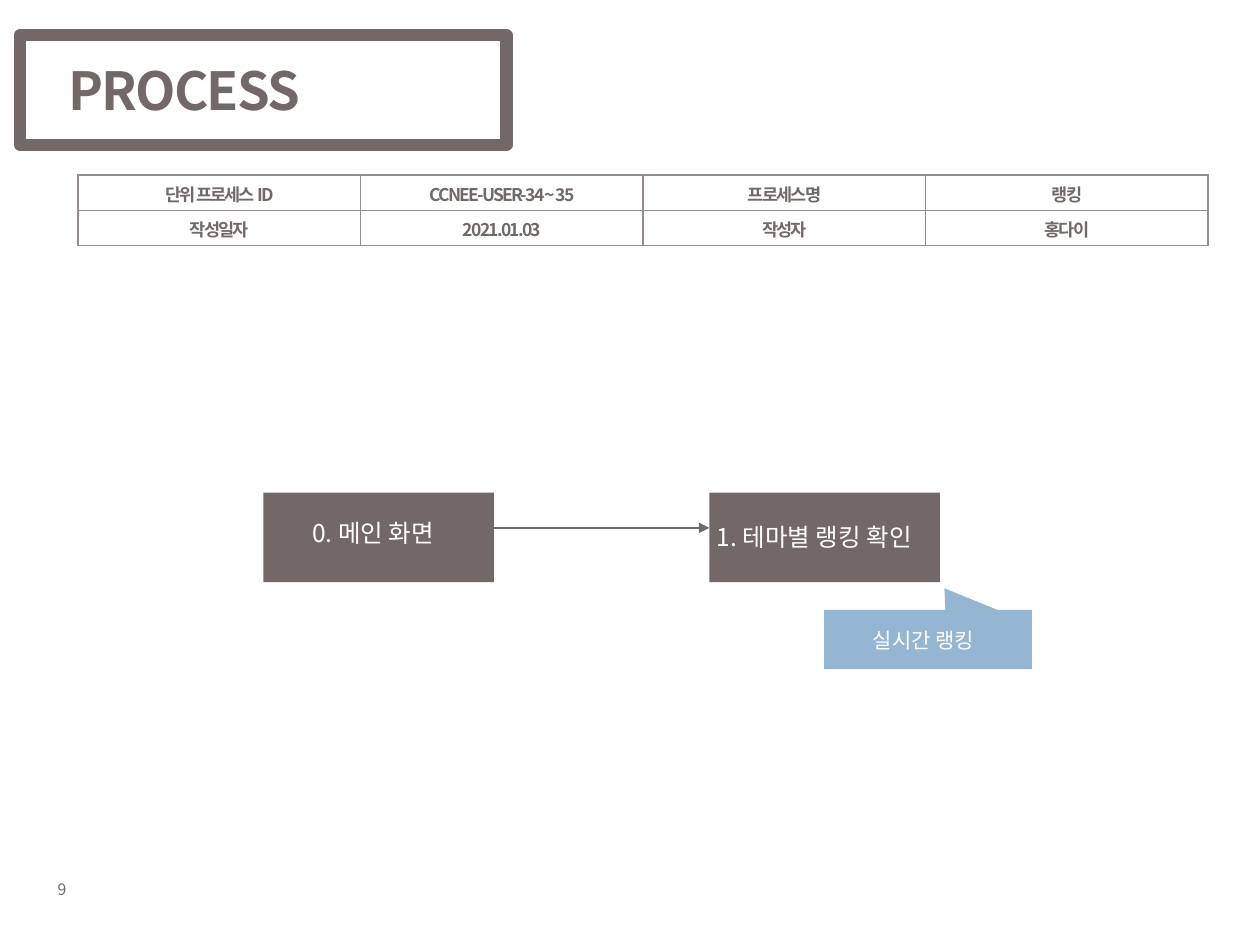
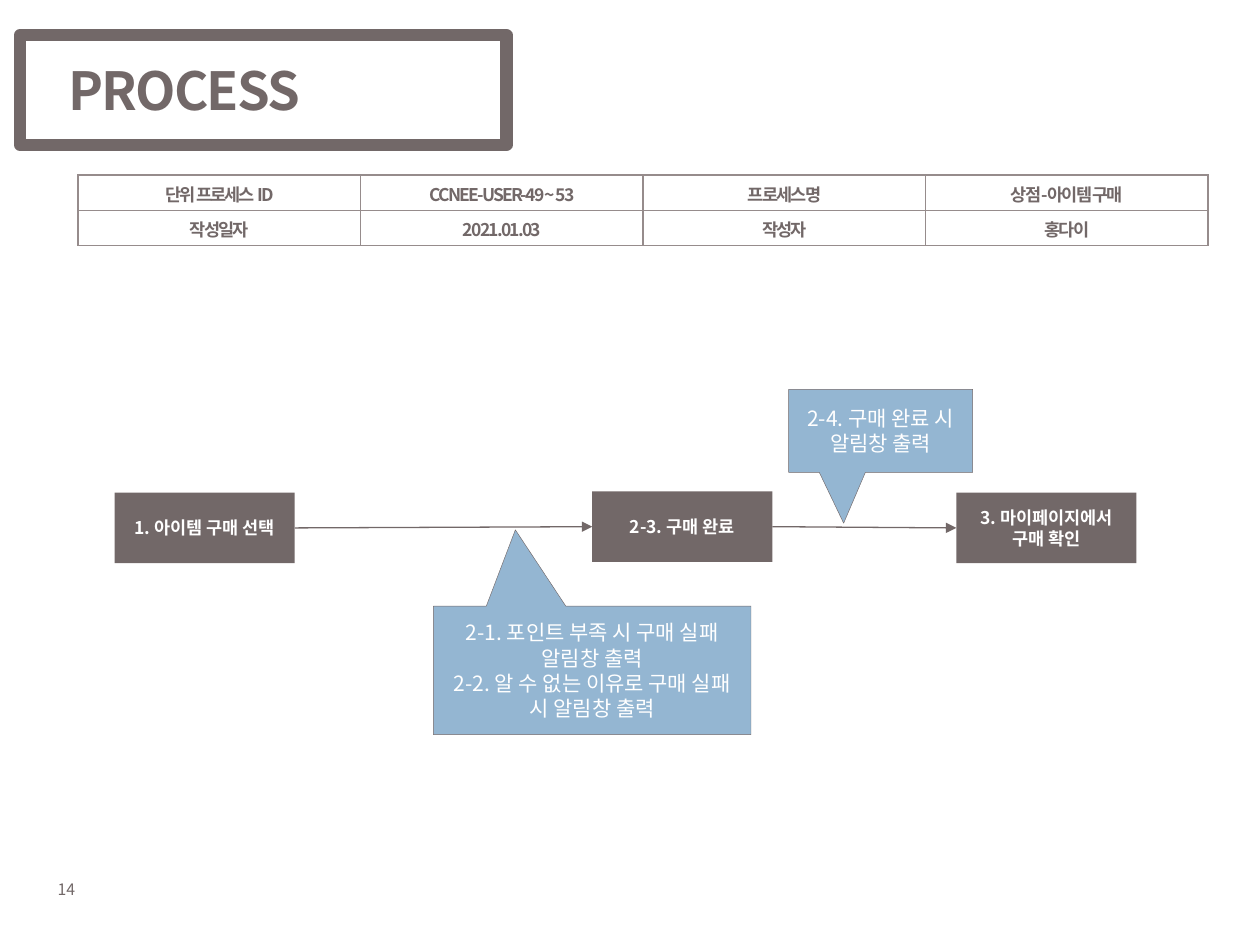
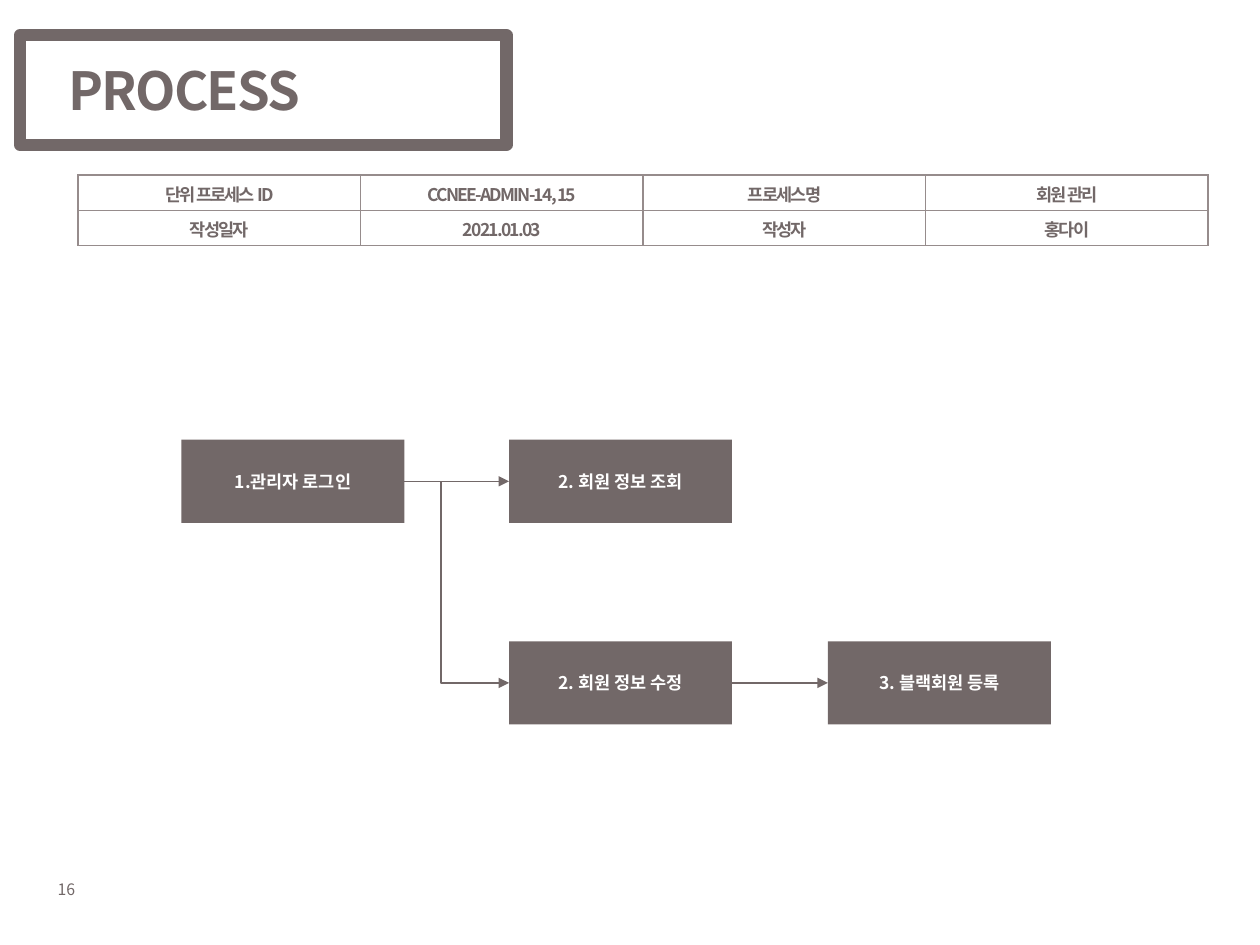
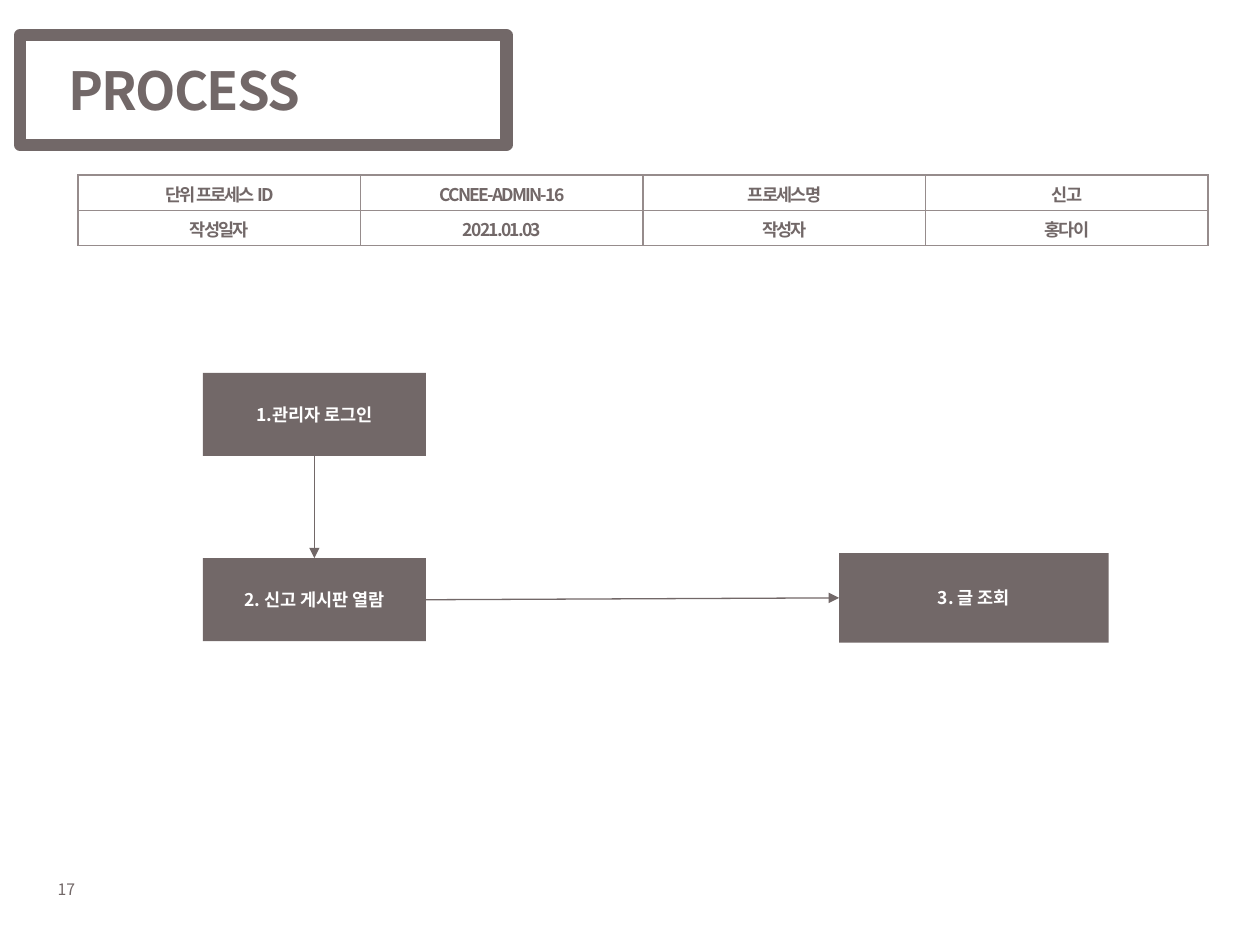
"""Build the four PROCESS slides, each with an ID table and a flow chart."""
from lxml.etree import SubElement
from pptx import Presentation
from pptx.dml.color import RGBColor
from pptx.enum.shapes import MSO_CONNECTOR as LINK, MSO_SHAPE as FORM
from pptx.enum.text import MSO_ANCHOR as ANCHOR, MSO_AUTO_SIZE as AUTO, PP_ALIGN as ALIGN
from pptx.oxml import parse_xml
from pptx.oxml.ns import nsdecls, qn
from pptx.util import Inches, Pt

FONT = "Noto Sans CJK KR"
BROWN, BLUE, WHITE, GRID = "726868", "94B6D2", "FFFFFF", "968C8C"
TOP, LEFT, DOWN, RIGHT = range(4)
WIDE, SMALL = (1.77, 0.66), (1.43, 0.56)

SLIDES = [
    dict(
        page="9", code="CCNEE-USER-34 ~ 35", name="랭킹",
        boxes=[("", 5.63, 3.91, 1.83, 0.71), ("", 2.09, 3.91, 1.83, 0.71)],
        lines=[((3.92, 4.19), (5.63, 4.19))],
        notes=[([], (6.54, 4.84, 1.65, 0.47), (0.079, -0.864), 0)],
        labels=[("1. 테마별 랭킹 확인", (5.59, 4.09, 2.24, 0.34), 14),
                ("0. 메인 화면", (2.38, 4.06, 1.76, 0.34), 14),
                ("실시간 랭킹", (6.83, 4.93, 1.47, 0.3), 12)],
    ),
    dict(
        page="14", code="CCNEE-USER-49 ~ 53", name="상점-아이템 구매",
        boxes=[("1. 아이템 구매 선택", 0.91, 3.91, *SMALL),
               ("2-3. 구매 완료", 4.7, 3.9, *SMALL),
               ("3. 마이페이지에서 구매 확인", 7.59, 3.91, *SMALL)],
        links=[(0, RIGHT, 1, LEFT), (1, RIGHT, 2, LEFT)],
        notes=[(["2-1. 포인트 부족 시 구매 실패 알림창 출력",
                 "2-2. 알 수 없는 이유로 구매 실패 시 알림창 출력"],
                (3.44, 4.81, 2.52, 1.02), (-0.242, -1.093), 0.25),
               (["2-4. 구매 완료 시 알림창 출력"],
                (6.26, 3.09, 1.46, 0.66), (-0.201, 1.11), 0.25)],
    ),
    dict(
        page="16", code="CCNEE-ADMIN-14, 15", name="회원 관리",
        boxes=[("1.관리자 로그인", 1.44, 3.49, *WIDE),
               ("2. 회원 정보 조회", 4.04, 3.49, *WIDE),
               ("2. 회원 정보 수정", 4.04, 5.09, *WIDE),
               ("3. 블랙회원 등록", 6.57, 5.09, *WIDE)],
        links=[(0, RIGHT, 1, LEFT), (2, RIGHT, 3, LEFT)],
        bends=[((3.5, 3.82), (4.04, 5.42))],
    ),
    dict(
        page="17", code="CCNEE-ADMIN-16", name="신고",
        boxes=[("2. 신고 게시판 열람", 1.61, 4.43, *WIDE),
               ("3. 글 조회", 6.66, 4.39, 2.14, 0.71),
               ("1.관리자 로그인", 1.61, 2.96, *WIDE)],
        links=[(0, RIGHT, 1, LEFT), (2, DOWN, 0, TOP)],
    ),
]


def paint(part, color):
    part.solid()
    part.fore_color.rgb = RGBColor.from_string(color)


def place(*nums):
    return [Inches(n) for n in nums]


def write(frame, texts, size, color, bold=False, align=ALIGN.LEFT, gap=0):
    for i, text in enumerate(texts):
        para = frame.add_paragraph() if i else frame.paragraphs[0]
        para.alignment = align
        run = para.add_run()
        run.text = text
        font = run.font
        font.size, font.bold, font.name = Pt(size), bold, FONT
        paint(font.fill, color)
        props = run._r.get_or_add_rPr()
        SubElement(props, qn("a:ea")).set("typeface", FONT)
        if gap:
            props.set("spc", str(gap))


def block(slide, form, spot, fill=None, line=None, width=0):
    shape = slide.shapes.add_shape(form, *place(*spot))
    shape.shadow.inherit = False
    if fill:
        paint(shape.fill, fill)
    else:
        shape.fill.background()
    if width:
        paint(shape.line.fill, line)
        shape.line.width = Pt(width)
    else:
        shape.line.fill.background()
    frame = shape.text_frame
    frame.word_wrap = True
    frame.vertical_anchor = ANCHOR.MIDDLE
    return shape


def label(slide, text, spot, size, color, wrap=True):
    frame = slide.shapes.add_textbox(*place(*spot)).text_frame
    frame.word_wrap = wrap
    frame.auto_size = AUTO.SHAPE_TO_FIT_TEXT
    write(frame, [text], size, color)


def arrow(slide, start, end, kind=LINK.STRAIGHT):
    link = slide.shapes.add_connector(kind, *place(*start, *end))
    paint(link.line.fill, BROWN)
    link.line.width = Pt(0.75)
    SubElement(link.line._get_or_add_ln(), qn("a:tailEnd")).set("type", "triangle")
    SubElement(link._element.spPr, qn("a:effectLst"))
    return link


def bend(slide, start, end):
    """Draw an arrow that goes down first and then right."""
    link = arrow(slide, start, end, LINK.ELBOW)
    (x1, y1), (x2, y2) = start, end
    wide, high = y2 - y1, x2 - x1
    spot = place((x1 + x2 - wide) / 2, (y1 + y2 - high) / 2, wide, high)
    link.left, link.top, link.width, link.height = spot
    props = link._element.spPr
    props.find(qn("a:prstGeom")).set("prst", "bentConnector2")
    frame = props.find(qn("a:xfrm"))
    frame.set("rot", str(270 * 60000))
    frame.set("flipH", "1")


def edge(cell):
    props = cell._tc.get_or_add_tcPr()
    for i, side in enumerate("LRTB"):
        props.insert(i, parse_xml(
            f'<a:ln{side} {nsdecls("a")} w="12700"><a:solidFill>'
            f'<a:srgbClr val="{GRID}"/></a:solidFill></a:ln{side}>'))


def grid(slide, rows):
    spot = place(0.62, 1.39, 8.97, 0.56)
    table = slide.shapes.add_table(len(rows), len(rows[0]), *spot).table
    table.first_row = table.horz_banding = False
    for r, row in enumerate(rows):
        table.rows[r].height = Inches(0.28)
        for c, text in enumerate(row):
            cell = table.cell(r, c)
            cell.fill.background()
            cell.vertical_anchor = ANCHOR.MIDDLE
            write(cell.text_frame, [text], 10, BROWN, True, ALIGN.CENTER, -100)
            edge(cell)


def head(slide, data):
    label(slide, data["page"], (0.36, 6.93, 0.52, 0.25), 9, BROWN, False)
    title = slide.shapes.title
    title.left, title.top, title.width, title.height = place(0.44, 0.08, 7.17, 1.26)
    frame = title.text_frame
    frame.vertical_anchor = ANCHOR.MIDDLE
    frame.auto_size = AUTO.NONE
    write(frame, ["PROCESS"], 30, BROWN, True, gap=-100)
    block(slide, FORM.RECTANGLE, (0.16, 0.28, 3.86, 0.87), None, BROWN, 7)
    grid(slide, [["단위 프로세스 ID", data["code"], "프로세스명", data["name"]],
                 ["작성일자", "2021.01.03", "작성자", "홍다이"]])


def flow(slide, data):
    boxes = []
    for text, *spot in data["boxes"]:
        box = block(slide, FORM.RECTANGLE, spot, BROWN)
        if text:
            write(box.text_frame, [text], 10, WHITE, True, ALIGN.CENTER)
        boxes.append(box)
    for a, out, b, into in data.get("links", []):
        link = arrow(slide, (0, 0), (1, 1))
        link.begin_connect(boxes[a], out)
        link.end_connect(boxes[b], into)
    for start, end in data.get("lines", []):
        arrow(slide, start, end)
    for start, end in data.get("bends", []):
        bend(slide, start, end)
    for texts, spot, tip, width in data.get("notes", []):
        note = block(slide, FORM.RECTANGULAR_CALLOUT, spot, BLUE, BROWN, width)
        note.adjustments[0], note.adjustments[1] = tip
        write(note.text_frame, texts, 12, WHITE, align=ALIGN.CENTER)
    for text, spot, size in data.get("labels", []):
        label(slide, text, spot, size, WHITE)


def main():
    deck = Presentation()
    deck.slide_width, deck.slide_height = place(10, 7.5)
    for data in SLIDES:
        slide = deck.slides.add_slide(deck.slide_layouts[0])
        sub = slide.placeholders[1]._element
        sub.getparent().remove(sub)
        head(slide, data)
        flow(slide, data)
    deck.save("out.pptx")


if __name__ == "__main__":
    main()
